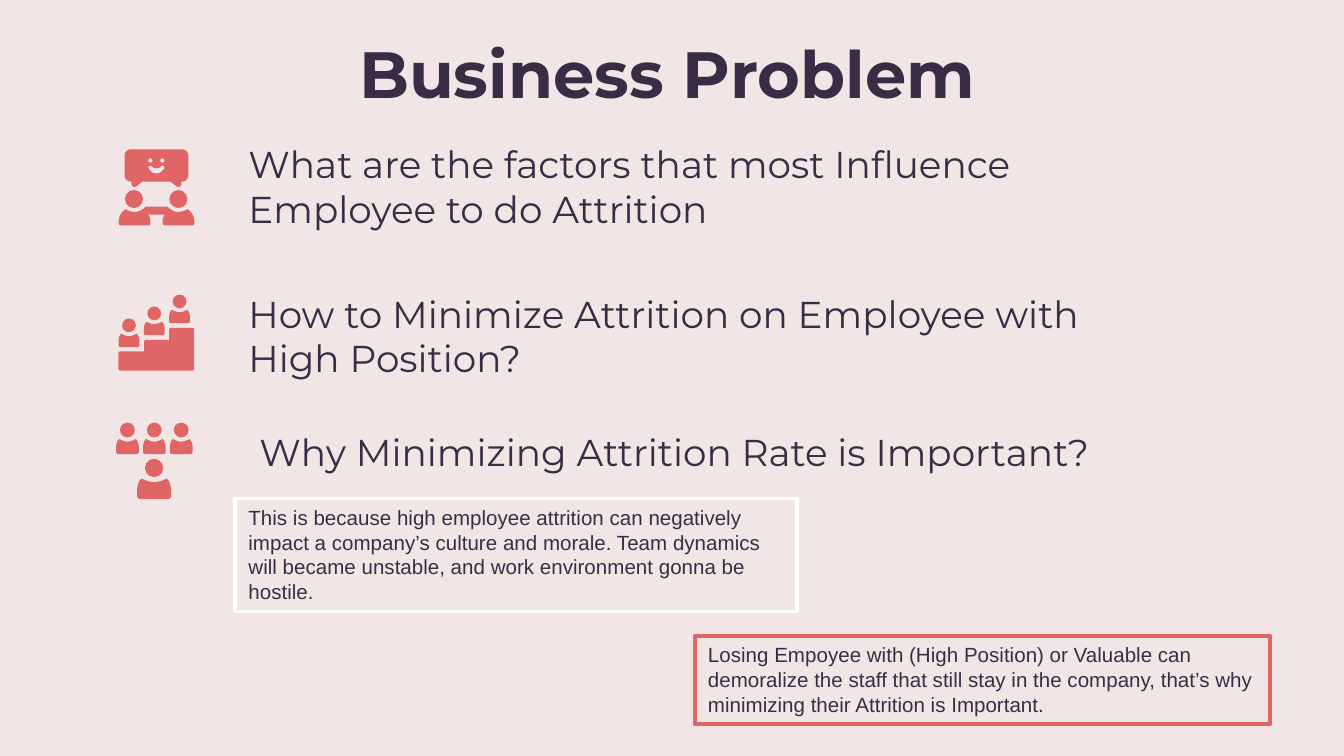
from dataclasses import dataclass
from typing import NamedTuple

from pptx import Presentation
from pptx.dml.color import RGBColor
from pptx.enum.shapes import MSO_SHAPE
from pptx.enum.text import MSO_ANCHOR, MSO_AUTO_SIZE, PP_ALIGN
from pptx.util import Pt


@dataclass(frozen=True)
class Theme:
    background: RGBColor = RGBColor(0xF2, 0xE5, 0xE5)
    ink: RGBColor = RGBColor(0x37, 0x2E, 0x46)
    accent: RGBColor = RGBColor(0xE0, 0x66, 0x66)
    white: RGBColor = RGBColor(0xFF, 0xFF, 0xFF)
    heading_font: str = "Montserrat"
    note_font: str = "Arial"
    title_size: int = 35
    question_size: int = 20
    note_size: int = 11


class Box(NamedTuple):
    left: float
    top: float
    width: float
    height: float

    def lengths(self) -> list[Pt]:
        return [Pt(value) for value in self]


class Question(NamedTuple):
    box: Box
    text: str


class Note(NamedTuple):
    box: Box
    border: RGBColor
    text: str


class Person(NamedTuple):
    center: float
    top: float
    head: float
    width: float
    bust_height: float


THEME = Theme()
TITLE_BOX = Box(54, 10.8, 607, 45.4)

QUESTIONS = [
    Question(Box(126, 100.1, 487.4, 31), "What are the factors that most Influence Employee to do Attrition"),
    Question(Box(126, 180, 473.8, 31), "How to Minimize Attrition on Employee with High Position?"),
    Question(Box(131.8, 230.4, 473.8, 31), "Why Minimizing Attrition Rate is Important?"),
]
NOTES = [
    Note(Box(126, 267.1, 301, 60.5), THEME.white,
         "This is because high employee attrition can negatively impact a company’s culture and morale. "
         "Team dynamics will became unstable, and work environment gonna be hostile."),
    Note(Box(372.2, 340.6, 308.2, 47.5), THEME.accent,
         "Losing Empoyee with (High Position) or Valuable can demoralize the staff that still stay in the "
         "company, that’s why minimizing their Attrition is Important."),
]

# Outlines are fractions of their box: a pair is a corner, six numbers are a cubic curve.
# The first four are left halves, completed by mirroring.
BUST = [(.5, .18), (.38, .18, .25, .1, .13, 0), (.05, .1, 0, .35, 0, .55), (0, .85),
        (0, .93, .05, 1, .1, 1), (.5, 1)]
HANDSHAKE = [(.5, 0), (.36, 0), (.32, .14, .27, .29, .21, .29), (.18, .29, .12, .21, .09, .14),
             (.04, .29, 0, .5, 0, .79), (0, .86), (0, .95, .01, 1, .03, 1), (.39, 1),
             (.41, 1, .42, .95, .42, .86), (.42, .79), (.42, .64, .41, .55, .39, .43), (.5, .43)]
BUBBLE = [(.5, 0), (.11, 0), (.04, 0, 0, .08, 0, .18), (0, .68), (0, .78, .04, .86, .11, .86),
          (.11, .93), (.11, .98, .15, 1.02, .19, .98), (.28, .86), (.5, .86)]
SMILE = [(.5, .38), (.35, .38, .25, .2, .2, .1), (.1, -.05, 0, .1, 0, .25),
         (.1, .75, .3, 1, .5, 1)]
STAIRS = [(.7, 0), (.68, 0, .67, .02, .67, .06), (.67, .28), (.37, .28), (.35, .28, .34, .3, .34, .34),
          (.34, .55), (.03, .55), (.01, .55, 0, .57, 0, .6), (0, .94), (0, .98, .01, 1, .03, 1),
          (.97, 1), (.99, 1, 1, .98, 1, .94), (1, .06), (1, .02, .99, 0, .97, 0)]


def flatten(outline, steps: int = 8) -> list[tuple[float, float]]:
    """Turn corners and cubic curves into a list of points."""
    points = []
    for segment in outline:
        if len(segment) == 2:
            points.append(segment)
            continue
        x0, y0 = points[-1]
        x1, y1, x2, y2, x3, y3 = segment
        for step in range(1, steps + 1):
            t = step / steps
            u = 1 - t
            weights = (u ** 3, 3 * u * u * t, 3 * u * t * t, t ** 3)
            points.append((sum(w * x for w, x in zip(weights, (x0, x1, x2, x3))),
                           sum(w * y for w, y in zip(weights, (y0, y1, y2, y3)))))
    return points


def paint(shape, color: RGBColor) -> None:
    shape.shadow.inherit = False
    shape.fill.solid()
    shape.fill.fore_color.rgb = color
    shape.line.fill.background()


def draw_outline(group, outline, box: Box, color: RGBColor = THEME.accent, mirror: bool = True) -> None:
    points = flatten(outline)
    if mirror:
        points += [(1 - x, y) for x, y in reversed(points)]
    corners = [(Pt(box.left + x * box.width), Pt(box.top + y * box.height)) for x, y in points]
    builder = group.shapes.build_freeform(*corners[0])
    builder.add_line_segments(corners[1:], close=True)
    paint(builder.convert_to_shape(), color)


def draw_disc(group, center: float, top: float, size: float, color: RGBColor = THEME.accent) -> None:
    box = Box(center - size / 2, top, size, size)
    paint(group.shapes.add_shape(MSO_SHAPE.OVAL, *box.lengths()), color)


def draw_person(group, person: Person) -> None:
    draw_disc(group, person.center, person.top, person.head)
    draw_outline(group, BUST, Box(person.center - person.width / 2, person.top + person.head + .8,
                                  person.width, person.bust_height))


def draw_conversation_icon(page) -> None:
    group = page.shapes.add_group_shape()
    for center in (71.8, 95.6):
        draw_disc(group, center, 101.8, 9.7)
    draw_outline(group, HANDSHAKE, Box(63.6, 110.7, 40.6, 10.1))
    draw_outline(group, BUBBLE, Box(66.7, 80, 34.2, 20.2))
    for center in (80.6, 87):
        draw_disc(group, center, 84.9, 2.2, THEME.background)
    draw_outline(group, SMILE, Box(79.5, 88.7, 8.6, 4.2), THEME.background)


def draw_career_icon(page) -> None:
    group = page.shapes.add_group_shape()
    draw_outline(group, STAIRS, Box(63.5, 175.6, 40.6, 23), mirror=False)
    for step in range(3):
        draw_person(group, Person(69.1 + 13.55 * step, 170.6 - 6.4 * step, 7.4, 11.2, 7.2))


def draw_team_icon(page) -> None:
    group = page.shapes.add_group_shape()
    for column in range(3):
        draw_person(group, Person(68.3 + 14.4 * column, 226.4, 8, 12.1, 8.1))
    draw_person(group, Person(82.6, 245.8, 9.8, 18.2, 11))


def add_span(frame, text: str, font: str, size: int, bold: bool = False):
    para = frame.paragraphs[0]
    span = para.add_run()
    span.text = text
    span.font.name = font
    span.font.size = Pt(size)
    span.font.bold = bold
    span.font.color.rgb = THEME.ink
    return para


def set_frame(frame, anchor: MSO_ANCHOR, vertical_inset: float = 7.2) -> None:
    frame.word_wrap = True
    frame.auto_size = MSO_AUTO_SIZE.NONE
    frame.vertical_anchor = anchor
    frame.margin_left = frame.margin_right = Pt(7.2)
    frame.margin_top = frame.margin_bottom = Pt(vertical_inset)


def add_title(page, text: str) -> None:
    title = page.shapes.title
    title.left, title.top, title.width, title.height = TITLE_BOX.lengths()
    set_frame(title.text_frame, MSO_ANCHOR.TOP)
    para = add_span(title.text_frame, text, THEME.heading_font, THEME.title_size, bold=True)
    para.alignment = PP_ALIGN.CENTER


def add_question(page, question: Question) -> None:
    frame = page.shapes.add_textbox(*question.box.lengths()).text_frame
    set_frame(frame, MSO_ANCHOR.BOTTOM)
    add_span(frame, question.text, THEME.heading_font, THEME.question_size)


def add_note(page, note: Note) -> None:
    shape = page.shapes.add_shape(MSO_SHAPE.RECTANGLE, *note.box.lengths())
    paint(shape, THEME.background)
    shape.line.color.rgb = note.border
    shape.line.width = Pt(2)
    set_frame(shape.text_frame, MSO_ANCHOR.TOP, vertical_inset=3.6)
    para = add_span(shape.text_frame, note.text, THEME.note_font, THEME.note_size)
    para.alignment = PP_ALIGN.LEFT


def main() -> None:
    deck = Presentation()
    deck.slide_width, deck.slide_height = Pt(720), Pt(405)
    page = deck.slides.add_slide(deck.slide_layouts[5])
    page.background.fill.solid()
    page.background.fill.fore_color.rgb = THEME.background
    add_title(page, "Business Problem")
    for question in QUESTIONS:
        add_question(page, question)
    draw_conversation_icon(page)
    draw_career_icon(page)
    draw_team_icon(page)
    for note in NOTES:
        add_note(page, note)
    deck.save("out.pptx")


if __name__ == "__main__":
    main()
